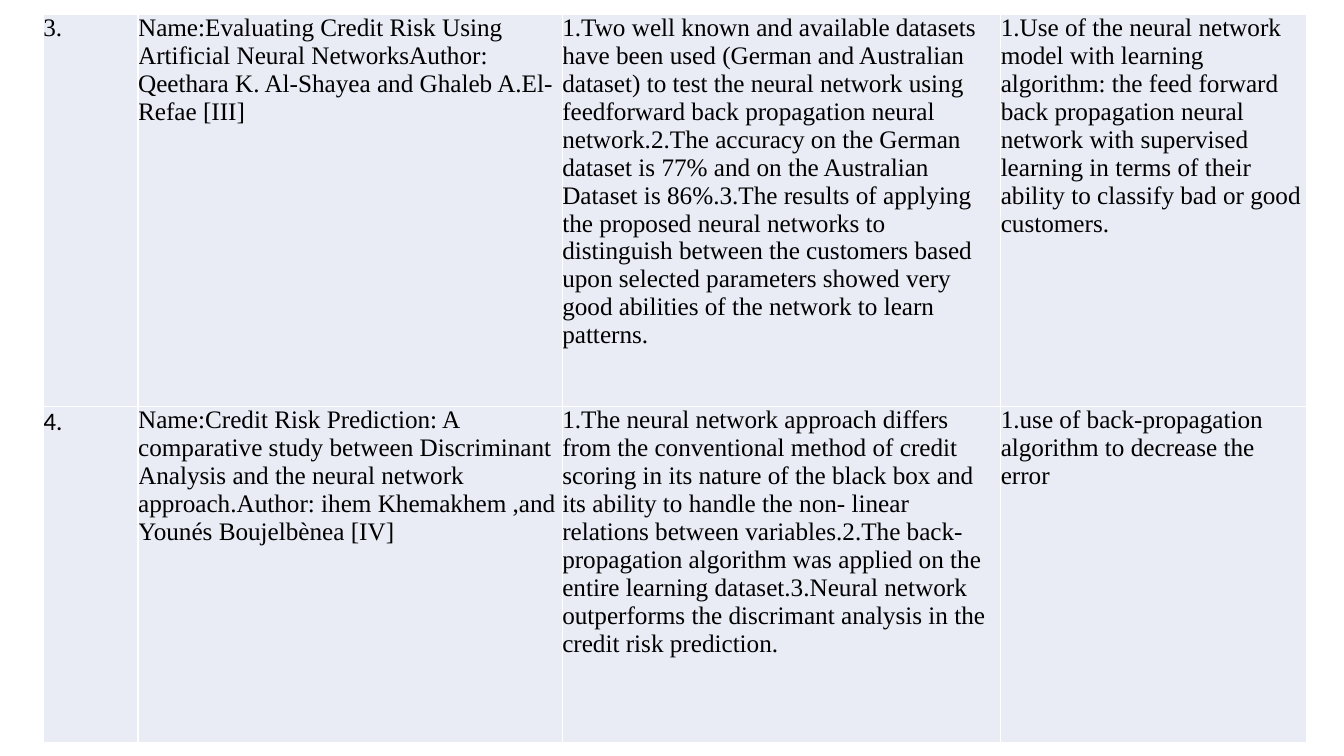
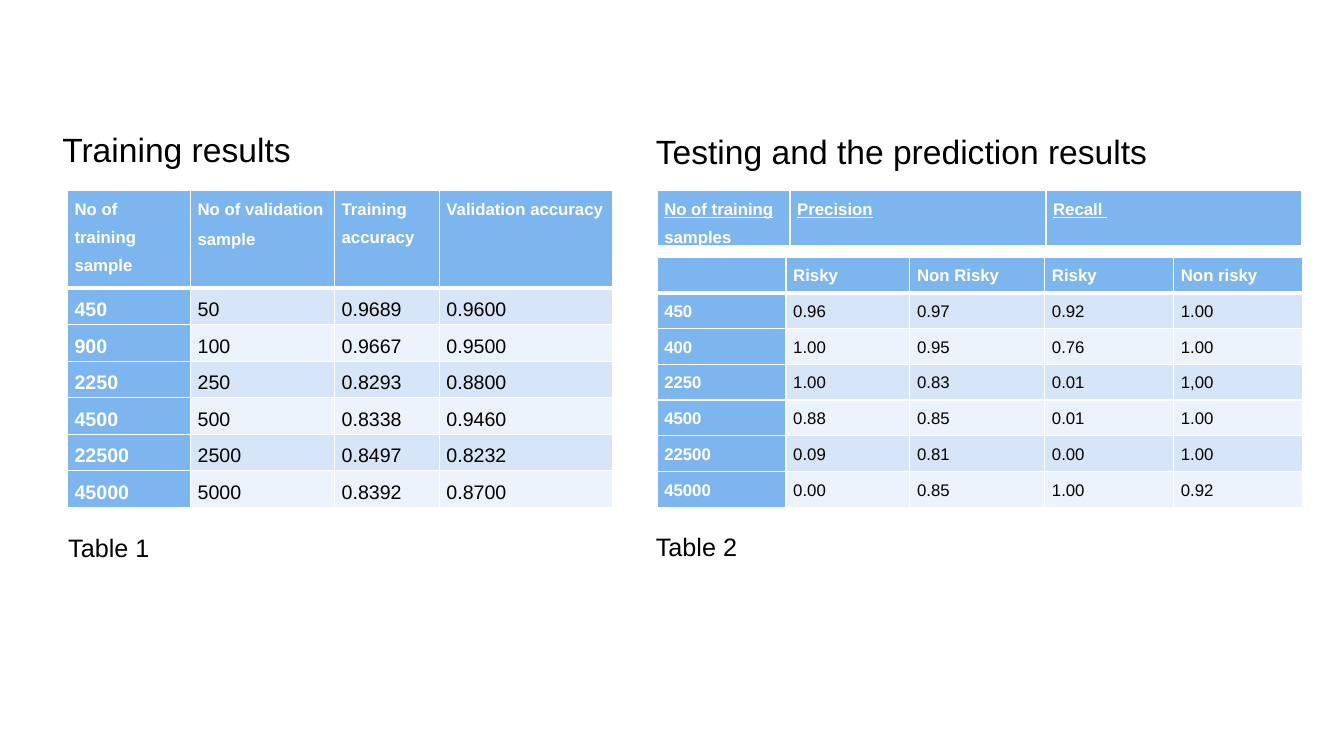
from dataclasses import dataclass
from lxml.etree import SubElement
from pptx import Presentation
from pptx.dml.color import RGBColor
from pptx.oxml.ns import qn
from pptx.util import Cm, Pt

# Content: literature survey
SURVEY = [
    ("3.",
     "Name:Evaluating Credit Risk Using Artificial Neural NetworksAuthor: "
     "Qeethara K. Al-Shayea and Ghaleb A.El-Refae [III]",
     "1.Two well known and available datasets have been used (German and "
     "Australian dataset) to test the neural network using feedforward back "
     "propagation neural network.2.The accuracy on the German dataset is 77% "
     "and on the Australian Dataset is 86%.3.The results of applying the "
     "proposed neural networks to distinguish between the customers based upon "
     "selected parameters showed very good abilities of the network to learn "
     "patterns.",
     "1.Use of the neural network model with learning algorithm: the feed "
     "forward back propagation neural network with supervised learning in terms "
     "of their ability to classify bad or good customers."),
    ("4.",
     "Name:Credit Risk Prediction: A comparative study between Discriminant "
     "Analysis and the neural network approach.Author: ihem Khemakhem ,and "
     "Younés Boujelbènea [IV]",
     "1.The neural network approach differs from the conventional method of "
     "credit scoring in its nature of the black box and its ability to handle "
     "the non- linear relations between variables.2.The back-propagation "
     "algorithm was applied on the entire learning dataset.3.Neural network "
     "outperforms the discrimant analysis in the credit risk prediction.",
     "1.use of back-propagation algorithm to decrease the error"),
]

# Content: results
TRAINING = [
    ("No of training sample", "No of validation \nsample",
     "Training accuracy", "Validation accuracy"),
    ("450", "50", "0.9689", "0.9600"),
    ("900", "100", "0.9667", "0.9500"),
    ("2250", "250", "0.8293", "0.8800"),
    ("4500", "500", "0.8338", "0.9460"),
    ("22500", "2500", "0.8497", "0.8232"),
    ("45000", "5000", "0.8392", "0.8700"),
]
MEASURES = [("No of training samples", "Precision", "Recall ")]
TESTING = [
    ("", "Risky", "Non Risky", "Risky", "Non risky"),
    ("450", "0.96", "0.97", "0.92", "1.00"),
    ("400", "1.00", "0.95", "0.76", "1.00"),
    ("2250", "1.00", "0.83", "0.01", "1,00"),
    ("4500", "0.88", "0.85", "0.01", "1.00"),
    ("22500", "0.09", "0.81", "0.00", "1.00"),
    ("45000", "0.00", "0.85", "1.00", "0.92"),
]
# Text, left, top, width, height (cm), size
LABELS = [
    ("Training results", 1.32, 3.12, 8.18, 1.27, "heading"),
    ("Testing and the prediction results", 16.28, 3.18, 16.56, 1.27, "heading"),
    ("Table 1", 1.47, 13.28, 3.1, 1.8, "caption"),
    ("Table 2", 16.28, 13.26, 2.74, 1.8, "caption"),
]


@dataclass(frozen=True)
class Theme:
    text: str = "000000"
    white: str = "FFFFFF"
    head: str = "7DB6EF"
    bands: tuple = ("ECF3FC", "D7E5F9")
    survey: str = "E9EBF5"
    sans: str = "Arial"
    serif: str = "Times New Roman"
    number: str = "Calibri"
    heading: int = 24
    caption: int = 18
    body: int = 14
    small: int = 12
    rule: int = 1
    head_rule: int = 3


THEME = Theme()


def style(paragraph, face, size, color, bold=False, underline=None):
    font = paragraph.font
    font.name, font.size = face, Pt(size)
    font.bold, font.underline = bold, underline
    font.color.rgb = RGBColor.from_string(color)


def border(cell, top, bottom):
    """White rules around a cell; they must precede its fill."""
    widths = {"a:lnL": THEME.rule, "a:lnR": THEME.rule, "a:lnT": top, "a:lnB": bottom}
    properties = cell._tc.get_or_add_tcPr()
    for position, (side, width) in enumerate(widths.items()):
        line = SubElement(properties, qn(side), w=str(Pt(width)))
        fill = SubElement(line, qn("a:solidFill"))
        SubElement(fill, qn("a:srgbClr"), val=THEME.white)
        properties.insert(position, line)


def add_grid(slide, content, left, top, widths, heights, margin, look):
    """Draw a table; look(cell, row, column) sets fill, rules and type."""
    table = slide.shapes.add_table(
        len(content), len(widths), Cm(left), Cm(top),
        Cm(sum(widths)), Cm(sum(heights))).table
    table.first_row = table.horz_banding = False
    for column, width in zip(table.columns, widths):
        column.width = Cm(width)
    for r, (row, height) in enumerate(zip(content, heights)):
        table.rows[r].height = Cm(height)
        for c, text in enumerate(row):
            cell = table.cell(r, c)
            cell.text = text
            cell.margin_left = cell.margin_right = Cm(margin)
            cell.margin_top = cell.margin_bottom = 0
            look(cell, r, c)


def fill_cell(cell, color):
    cell.fill.solid()
    cell.fill.fore_color.rgb = RGBColor.from_string(color)


def survey_look(cell, row, column):
    border(cell, THEME.rule, THEME.rule)
    fill_cell(cell, THEME.survey)
    face = THEME.number if (row, column) == (1, 0) else THEME.serif
    style(cell.text_frame.paragraphs[0], face, THEME.caption, THEME.text)


def results_look(body_size, underline=None):
    def look(cell, row, column):
        head = row == 0 or column == 0
        border(cell, THEME.head_rule if row == 1 else THEME.rule,
               THEME.head_rule if row == 0 else THEME.rule)
        fill_cell(cell, THEME.head if head else THEME.bands[row % 2])
        if not cell.text:
            return
        for paragraph in cell.text_frame.paragraphs:
            paragraph.line_spacing, paragraph.space_before = 1.5, Pt(1.5)
            style(paragraph, THEME.sans, body_size if row else THEME.small,
                  THEME.white if head else THEME.text, head, underline)
    return look


deck = Presentation()
deck.slide_width, deck.slide_height = Cm(33.87), Cm(19.05)
blank = deck.slide_layouts[6]

# Literature survey
survey = deck.slides.add_slide(blank)
add_grid(survey, SURVEY, 1.09, 0.36, (2.39, 10.69, 11.05, 7.7), (9.88, 8.48),
         0, survey_look)

# Training and testing results
results = deck.slides.add_slide(blank)
add_grid(results, TRAINING, 1.7, 4.8, (3.1, 3.63, 2.64, 4.37),
         [2.46] + [0.92] * 6, 0.18, results_look(THEME.body))
add_grid(results, MEASURES, 16.56, 4.8, (3.35, 6.45, 6.45), [1.4], 0.18,
         results_look(THEME.small, underline=True))
add_grid(results, TESTING, 16.56, 6.48, (3.25, 3.12, 3.4, 3.25, 3.25),
         [0.9] * 7, 0.18, results_look(THEME.small))

# Headings and captions
for text, left, top, width, height, size in LABELS:
    label = results.shapes.add_textbox(Cm(left), Cm(top), Cm(width), Cm(height))
    label.text_frame.word_wrap = True
    label.text_frame.text = text
    style(label.text_frame.paragraphs[0], THEME.sans, getattr(THEME, size), THEME.text)

deck.save("out.pptx")
